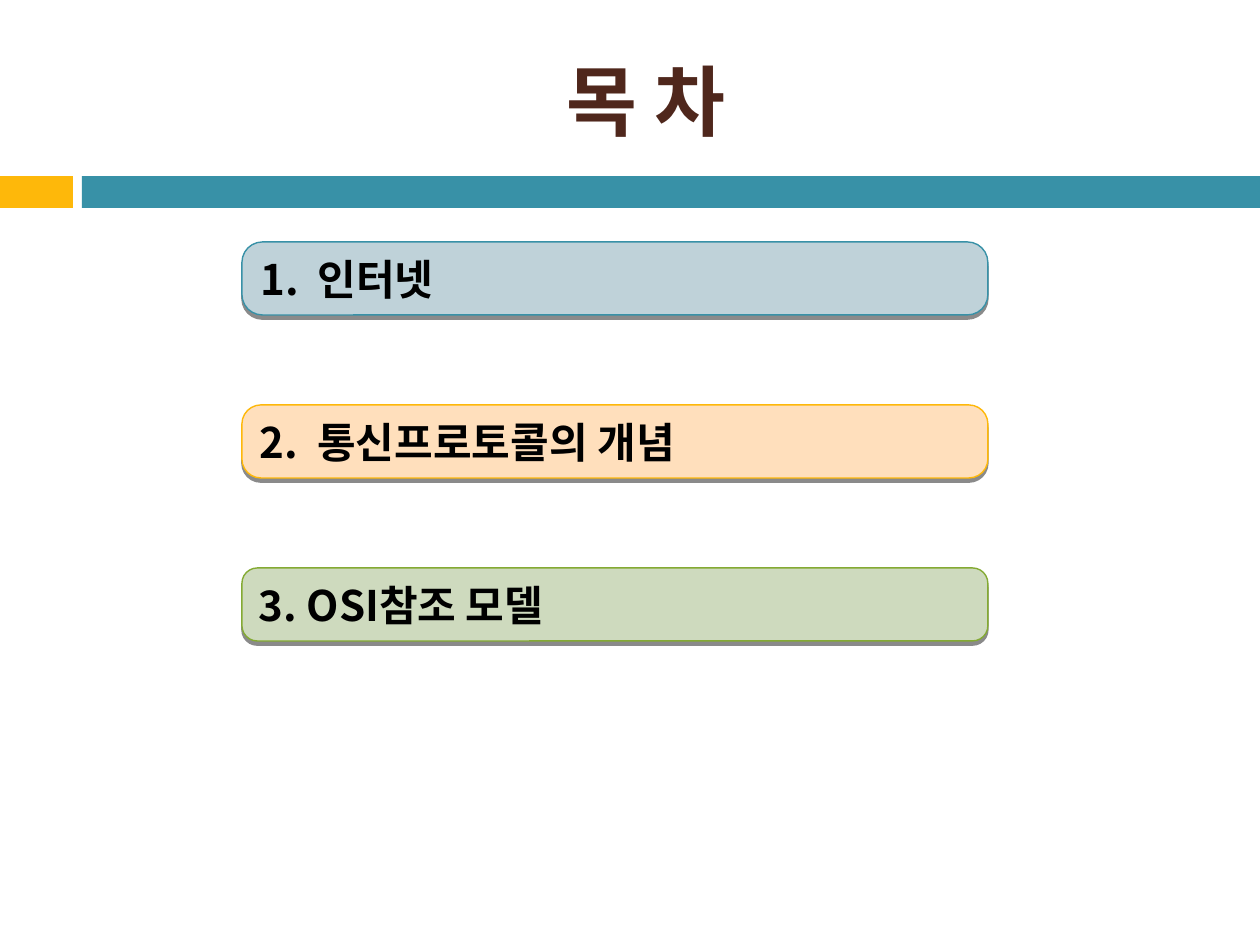
from typing import NamedTuple

from lxml import etree
from pptx import Presentation
from pptx import util as u
from pptx.dml.color import RGBColor
from pptx.enum import shapes, text
from pptx.oxml.ns import qn

FONT = "Noto Sans CJK KR"
BLACK = RGBColor(0x00, 0x00, 0x00)
BROWN = RGBColor(0x4F, 0x27, 0x1C)
AMBER = RGBColor(0xFE, 0xB8, 0x0A)
TEAL = RGBColor(0x38, 0x91, 0xA7)
GREEN = RGBColor(0x84, 0xAA, 0x33)
PALE_BLUE = RGBColor(0xBF, 0xD2, 0xD9)
PALE_ORANGE = RGBColor(0xFF, 0xDF, 0xBC)
PALE_GREEN = RGBColor(0xCE, 0xDA, 0xBE)

PX_PER_INCH = 126
ITEM_LEFT, ITEM_TOP, ITEM_WIDTH, ITEM_HEIGHT = 242, 242, 746, 73
ITEM_PITCH = 163


class Bar(NamedTuple):
    left: int
    width: int
    fill: RGBColor


class Item(NamedTuple):
    number: str
    label: str
    gap: float  # extra points after the number
    fill: RGBColor
    line: RGBColor
    corner: float


BARS = [Bar(0, 73, AMBER), Bar(82, 1178, TEAL)]
ITEMS = [
    Item("1.", "인터넷", 5.4, PALE_BLUE, TEAL, 0.28),
    Item("2.", "통신프로토콜의 개념", 5.4, PALE_ORANGE, AMBER, 0.26),
    Item("3.", "OSI참조 모델", 0, PALE_GREEN, GREEN, 0.21),
]


def px(n: int) -> int:
    return u.Emu(round(n * u.Inches(1) / PX_PER_INCH))


def add_run(p, content: str, size: int, color: RGBColor, gap: float = 0) -> None:
    r = p.add_run()
    r.text = content
    r.font.size, r.font.bold, r.font.name = u.Pt(size), True, FONT
    r.font.color.rgb = color
    rPr = r.font._element
    etree.SubElement(rPr, qn("a:ea"), typeface=FONT)
    if gap:
        rPr.set("spc", str(round(gap * 100)))


def add_shadow(sp) -> None:
    effects = sp._element.spPr.find(qn("a:effectLst"))
    shadow = etree.SubElement(effects, qn("a:outerShdw"), blurRad="0",
                              dist=str(u.Pt(2.4)), dir="5400000", rotWithShape="0")
    color = etree.SubElement(shadow, qn("a:srgbClr"), val=str(BLACK))
    etree.SubElement(color, qn("a:alpha"), val="45000")


def add_bar(s, bar: Bar) -> None:
    sp = s.shapes.add_shape(shapes.MSO_SHAPE.RECTANGLE,
                            px(bar.left), px(176), px(bar.width), px(32))
    sp.shadow.inherit = False
    sp.fill.solid()
    sp.fill.fore_color.rgb = bar.fill
    sp.line.fill.background()


def add_item(s, item: Item, row: int) -> None:
    sp = s.shapes.add_shape(shapes.MSO_SHAPE.ROUNDED_RECTANGLE, px(ITEM_LEFT),
                            px(ITEM_TOP + row * ITEM_PITCH),
                            px(ITEM_WIDTH), px(ITEM_HEIGHT))
    sp.adjustments[0] = item.corner
    sp.shadow.inherit = False
    add_shadow(sp)
    sp.fill.solid()
    sp.fill.fore_color.rgb = item.fill
    sp.line.color.rgb = item.line
    sp.line.width = u.Pt(0.79)
    tf = sp.text_frame
    tf.word_wrap = True
    tf.vertical_anchor = text.MSO_ANCHOR.MIDDLE
    p = tf.paragraphs[0]
    p.alignment = text.PP_ALIGN.LEFT
    add_run(p, item.number, 24, BLACK)
    add_run(p, " ", 24, BLACK, item.gap)
    add_run(p, item.label, 24, BLACK)


def add_title(s, content: str) -> None:
    sp = s.shapes.title
    sp.left, sp.top, sp.width, sp.height = px(84), px(32), px(1124), px(136)
    tf = sp.text_frame
    tf.vertical_anchor = text.MSO_ANCHOR.MIDDLE
    p = tf.paragraphs[0]
    p.alignment = text.PP_ALIGN.CENTER
    add_run(p, content, 44, BROWN)


def main() -> None:
    prs = Presentation()
    prs.slide_width, prs.slide_height = u.Inches(10), u.Inches(7.5)
    s = prs.slides.add_slide(prs.slide_layouts[5])

    # Divider under the title
    for bar in BARS:
        add_bar(s, bar)

    # Title
    add_title(s, "목 차")

    # Contents list
    for row, item in enumerate(ITEMS):
        add_item(s, item, row)

    prs.save("out.pptx")


if __name__ == "__main__":
    main()
